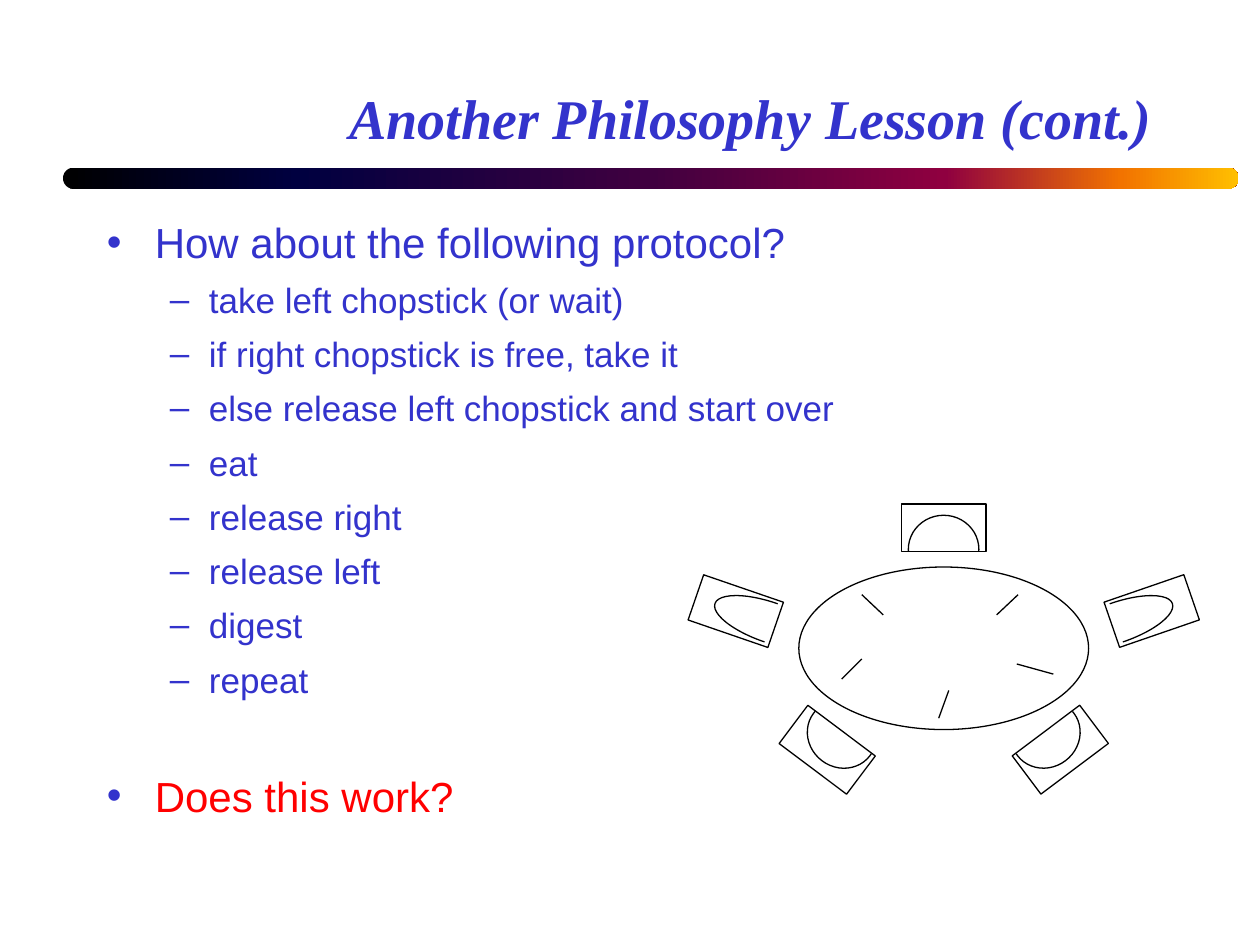
from dataclasses import dataclass, replace

from lxml.etree import SubElement
from pptx import Presentation
from pptx.dml.color import RGBColor
from pptx.enum.shapes import MSO_CONNECTOR as Connector
from pptx.enum.shapes import MSO_SHAPE as Preset
from pptx.enum.text import MSO_ANCHOR as Anchor
from pptx.enum.text import MSO_AUTO_SIZE as AutoSize
from pptx.enum.text import PP_ALIGN as Align
from pptx.oxml.ns import qn
from pptx.util import Inches, Pt

BLUE = RGBColor(0x33, 0x33, 0xCC)
RED = RGBColor(0xFF, 0x00, 0x00)
BLACK = RGBColor(0x00, 0x00, 0x00)
BAR_STOPS = [(0, "000000"), (20, "000040"), (50, "400040"),
             (75, "8F0040"), (90, "F27300"), (100, "FFBF00")]
TABLE_CENTER = 7.49
LINE_WIDTH = Pt(0.75)

STEPS = ["take left chopstick (or wait)", "if right chopstick is free, take it",
         "else release left chopstick and start over", "eat", "release right",
         "release left", "digest", "repeat"]


@dataclass(frozen=True)
class Seat:
    """A place mat with the visible half of a plate, both turned to the table."""
    mat_x: float
    mat_y: float
    mat_width: float
    mat_height: float
    plate_x: float
    plate_y: float
    radius_x: float
    radius_y: float
    rotation: float = 0

    def mirrored(self) -> "Seat":
        return replace(self, mat_x=2 * TABLE_CENTER - self.mat_x,
                       plate_x=2 * TABLE_CENTER - self.plate_x,
                       rotation=360 - self.rotation)


@dataclass(frozen=True)
class Chopstick:
    x1: float
    y1: float
    x2: float
    y2: float


TOP_SEAT = Seat(7.49, 4.19, 0.67, 0.38, 7.49, 4.36, 0.28, 0.27)
RIGHT_SEATS = [
    Seat(9.14, 4.85, 0.38, 0.67, 8.87, 4.94, 0.16, 0.46, 71),
    Seat(8.415, 5.95, 0.67, 0.38, 8.3, 5.83, 0.28, 0.26, 143.1),
]
CHOPSTICKS = [
    Chopstick(6.84, 4.72, 7.01, 4.88), Chopstick(8.08, 4.72, 7.91, 4.88),
    Chopstick(8.36, 5.35, 8.07, 5.27), Chopstick(6.68, 5.39, 6.84, 5.23),
    Chopstick(7.45, 5.7, 7.53, 5.48),
]


def add_outline(shapes, preset, center_x: float, center_y: float,
                width: float, height: float, rotation: float = 0):
    shape = shapes.add_shape(preset, Inches(center_x - width / 2),
                             Inches(center_y - height / 2),
                             Inches(width), Inches(height))
    shape.shadow.inherit = False
    shape.fill.background()
    shape.line.color.rgb = BLACK
    shape.line.width = LINE_WIDTH
    shape.rotation = rotation
    return shape


def add_seat(shapes, seat: Seat) -> None:
    add_outline(shapes, Preset.RECTANGLE, seat.mat_x, seat.mat_y,
                seat.mat_width, seat.mat_height, seat.rotation)
    plate = add_outline(shapes, Preset.ARC, seat.plate_x, seat.plate_y,
                        2 * seat.radius_x, 2 * seat.radius_y, seat.rotation)
    # Arc angles are stored in 60000ths of a degree, adjustments in 100000ths
    plate.adjustments[0] = 176 * 0.6
    plate.adjustments[1] = 4 * 0.6


def add_chopstick(shapes, stick: Chopstick) -> None:
    line = shapes.add_connector(Connector.STRAIGHT, Inches(stick.x1), Inches(stick.y1),
                                Inches(stick.x2), Inches(stick.y2))
    line.line.color.rgb = BLACK
    line.line.width = LINE_WIDTH
    SubElement(line._element.spPr, qn("a:effectLst"))


def add_bar(shapes) -> None:
    bar = shapes.add_shape(Preset.ROUNDED_RECTANGLE, Inches(0.5), Inches(1.33),
                           Inches(9.33), Inches(0.17))
    bar.adjustments[0] = 0.5
    bar.shadow.inherit = False
    bar.line.fill.background()
    bar.fill.gradient()
    bar.fill.gradient_angle = 0
    stops = bar._element.spPr.find(qn("a:gradFill")).find(qn("a:gsLst"))
    for stop in list(stops):
        stops.remove(stop)
    for position, color in BAR_STOPS:
        stop = SubElement(stops, qn("a:gs"), pos=str(position * 1000))
        SubElement(stop, qn("a:srgbClr"), val=color)


def write_text(para, text: str, *, size: float, font: str = "Arial",
               color: RGBColor = BLUE, bold: bool = False, italic: bool = False,
               align=Align.LEFT, before: float = 0, after: float = 0,
               bullet: str = "", margin: float = 0, hanging: float = 0) -> None:
    para.alignment = align
    para.space_before = Pt(before)
    para.space_after = Pt(after)
    span = para.add_run()
    span.text = text
    span.font.name = font
    span.font.size = Pt(size)
    span.font.bold = bold
    span.font.italic = italic
    span.font.color.rgb = color
    if bullet:
        properties = para._p.get_or_add_pPr()
        properties.set("marL", str(Inches(margin)))
        properties.set("indent", str(-Inches(hanging)))
        bullet_color = SubElement(properties, qn("a:buClr"))
        SubElement(bullet_color, qn("a:srgbClr"), val=str(BLUE))
        SubElement(properties, qn("a:buFont"), typeface="Arial")
        SubElement(properties, qn("a:buChar"), char=bullet)


def add_body(shapes) -> None:
    box = shapes.add_textbox(Inches(0.75), Inches(1.67), Inches(9.08), Inches(5))
    frame = box.text_frame
    frame.word_wrap = True
    point = dict(size=24, bullet="•", margin=0.38, hanging=0.38)
    write_text(frame.paragraphs[0], "How about the following protocol?",
               before=5, after=6.5, **point)
    for step in STEPS:
        last = step == STEPS[-1]
        write_text(frame.add_paragraph(), step, size=20, after=0 if last else 7,
                   bullet="–", margin=0.81, hanging=0.31)
    write_text(frame.add_paragraph(), "Does this work?", color=RED, before=40, **point)


def main() -> None:
    deck = Presentation()
    deck.slide_width, deck.slide_height = Inches(10), Inches(7.5)
    page = deck.slides.add_slide(deck.slide_layouts[5])

    # Title and colour bar
    title = page.shapes.title
    title.left, title.top = Inches(0.75), Inches(0.25)
    title.width, title.height = Inches(8.5), Inches(1)
    title.text_frame.vertical_anchor = Anchor.BOTTOM
    title.text_frame.auto_size = AutoSize.NONE
    write_text(title.text_frame.paragraphs[0], "Another Philosophy Lesson (cont.)",
               size=32, font="Times New Roman", bold=True, italic=True, align=Align.RIGHT)
    add_bar(page.shapes)

    # Protocol steps
    add_body(page.shapes)

    # Dining table with five seats and five chopsticks
    dining = page.shapes.add_group_shape().shapes
    add_outline(dining, Preset.OVAL, TABLE_CENTER, 5.145, 2.3, 1.29)
    for seat in [TOP_SEAT, *RIGHT_SEATS, *(seat.mirrored() for seat in RIGHT_SEATS)]:
        add_seat(dining, seat)
    for stick in CHOPSTICKS:
        add_chopstick(dining, stick)

    deck.save("out.pptx")


if __name__ == "__main__":
    main()
